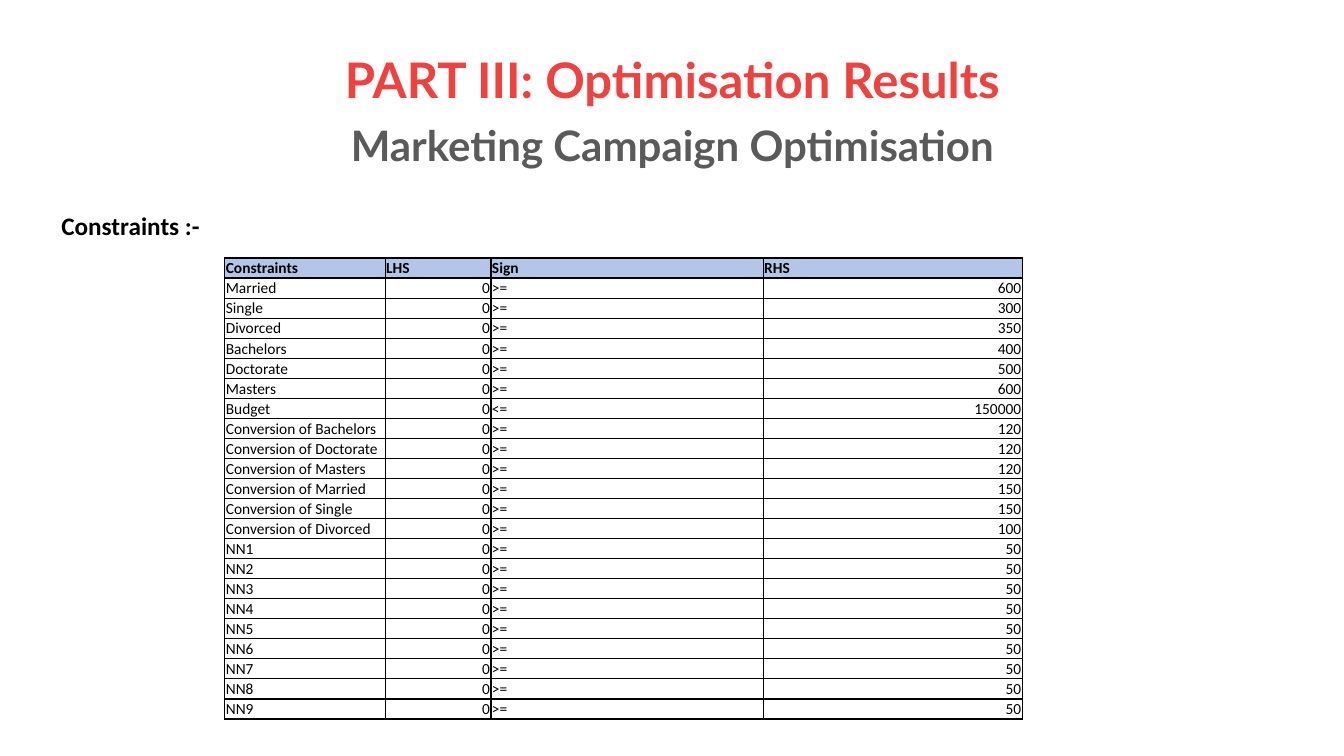
from dataclasses import dataclass

from lxml.etree import SubElement
from pptx import Presentation
from pptx.dml.color import RGBColor as RGB
from pptx.enum.text import MSO_ANCHOR as Anchor, MSO_AUTO_SIZE as AutoSize, PP_ALIGN as Align
from pptx.oxml.ns import qn
from pptx.util import Inches, Pt

# Content
TITLE = "PART III: Optimisation Results"
SUBTITLE = "Marketing Campaign Optimisation"
LABEL = "Constraints :-"
HEADER = ("Constraints", "LHS", "Sign", "RHS")
LIMITS = [
    ("Married", ">=", 600),
    ("Single", ">=", 300),
    ("Divorced", ">=", 350),
    ("Bachelors", ">=", 400),
    ("Doctorate", ">=", 500),
    ("Masters", ">=", 600),
    ("Budget", "<=", 150000),
    ("Conversion of Bachelors", ">=", 120),
    ("Conversion of Doctorate", ">=", 120),
    ("Conversion of Masters", ">=", 120),
    ("Conversion of Married", ">=", 150),
    ("Conversion of Single", ">=", 150),
    ("Conversion of Divorced", ">=", 100),
] + [(f"NN{n}", ">=", 50) for n in range(1, 10)]
ROWS = [HEADER] + [(name, 0, sign, rhs) for name, sign, rhs in LIMITS]

# Layout in inches: left, top, width, height
SLIDE = (13.33, 7.5)
TITLE_BOX = (0.92, 0.4, 11.5, 1.45)
LABEL_BOX = (0.51, 2.04, 6.65, 0.4)
TABLE_BOX = (2.23, 2.56, 7.91, 4.54)
COLUMNS = (1.59, 1.05, 2.7, 2.57)


@dataclass(frozen=True)
class Theme:
    title_font: str = "Lato"
    body_font: str = "Calibri"
    title_size: int = 35
    subtitle_size: int = 30
    label_size: int = 18
    cell_size: int = 11
    red: str = "EF413D"
    grey: str = "5A5A5A"
    black: str = "000000"
    header_fill: str = "B4C6E7"


T = Theme()


def style(p, font, size, color, bold, align=Align.LEFT):
    p.alignment = align
    p.font.name, p.font.size, p.font.bold = font, Pt(size), bold
    p.font.color.rgb = RGB.from_string(color)


def add_borders(cell):
    props = cell._tc.get_or_add_tcPr()
    for i, side in enumerate(("lnL", "lnR", "lnT", "lnB")):
        line = props.makeelement(qn(f"a:{side}"), {"w": str(Pt(1))})
        props.insert(i, line)
        fill = SubElement(line, qn("a:solidFill"))
        SubElement(fill, qn("a:srgbClr"), val=T.black)


def add_title(slide):
    sp = slide.shapes.title
    sp.left, sp.top, sp.width, sp.height = map(Inches, TITLE_BOX)
    tf = sp.text_frame
    tf.auto_size, tf.vertical_anchor = AutoSize.NONE, Anchor.MIDDLE
    tf.text = f"{TITLE}\n{SUBTITLE}"
    looks = ((T.title_size, T.red), (T.subtitle_size, T.grey))
    for p, (size, color) in zip(tf.paragraphs, looks):
        style(p, T.title_font, size, color, True, Align.CENTER)
        p.line_spacing = 0.9
        p.space_before = Pt(0)
    tf.paragraphs[1].space_before = Pt(11)


def add_constraints(slide):
    table = slide.shapes.add_table(len(ROWS), len(COLUMNS), *map(Inches, TABLE_BOX)).table
    table.horz_banding = False
    for column, width in zip(table.columns, COLUMNS):
        column.width = Inches(width)
    for r, values in enumerate(ROWS):
        for c, value in enumerate(values):
            cell = table.cell(r, c)
            cell.text = str(value)
            cell.vertical_anchor = Anchor.BOTTOM
            cell.margin_left = cell.margin_right = cell.margin_top = Inches(0.01)
            cell.margin_bottom = 0
            align = Align.RIGHT if isinstance(value, int) else Align.LEFT
            style(cell.text_frame.paragraphs[0], T.body_font, T.cell_size, T.black, r == 0, align)
            if r == 0:
                cell.fill.solid()
                cell.fill.fore_color.rgb = RGB.from_string(T.header_fill)
            else:
                cell.fill.background()
            add_borders(cell)


def add_label(slide):
    tf = slide.shapes.add_textbox(*map(Inches, LABEL_BOX)).text_frame
    tf.word_wrap = True
    tf.auto_size = AutoSize.SHAPE_TO_FIT_TEXT
    tf.text = LABEL
    style(tf.paragraphs[0], T.body_font, T.label_size, T.black, True)


def main():
    prs = Presentation()
    prs.slide_width, prs.slide_height = map(Inches, SLIDE)
    slide = prs.slides.add_slide(prs.slide_layouts[5])  # title only
    add_title(slide)
    add_constraints(slide)
    add_label(slide)
    prs.save("out.pptx")


if __name__ == "__main__":
    main()
